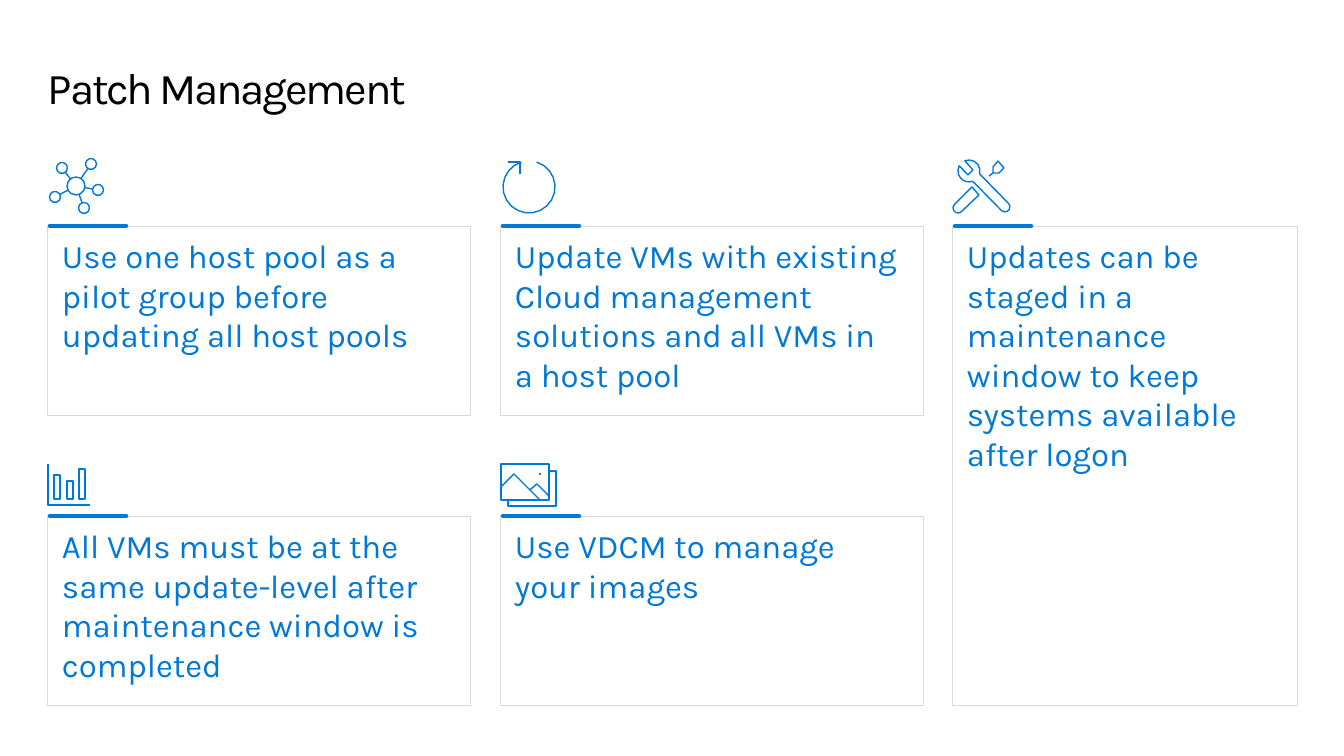
from math import ceil, cos, dist, radians, sin, sqrt

from lxml.etree import SubElement
from pptx import Presentation
from pptx.dml.color import RGBColor
from pptx.enum.shapes import MSO_CONNECTOR as CONNECTOR, MSO_SHAPE as SHAPE
from pptx.enum.text import MSO_ANCHOR as ANCHOR, PP_ALIGN as ALIGN
from pptx.oxml.ns import qn
from pptx.util import Pt

PX = 914400 / 100.8
THEME = {
    "font": "Karla",
    "ink": RGBColor.from_string("000000"),
    "blue": RGBColor.from_string("0078D7"),
    "border": RGBColor.from_string("D9D9D9"),
    "title_size": Pt(31.4),
    "body_size": Pt(23.5),
    "border_width": Pt(0.5),
    "accent_width": Pt(3.25),
    "icon_width": Pt(1),
}


def write(frame, text, size, color, insets):
    frame.word_wrap = True
    frame.vertical_anchor = ANCHOR.TOP
    frame.margin_left, frame.margin_top, frame.margin_right, frame.margin_bottom = [
        round(inset * PX) for inset in insets
    ]
    paragraph = frame.paragraphs[0]
    paragraph.text = text
    paragraph.alignment = ALIGN.LEFT
    for run in paragraph.runs:
        run.font.name = THEME["font"]
        run.font.size = size
        run.font.color.rgb = color
    return paragraph


def arc(x, y, radius, start=0, sweep=360):
    steps = ceil(abs(sweep) * sqrt(radius) / 90)
    angles = [radians(start + sweep * step / steps) for step in range(steps + 1)]
    return [(x + radius * cos(angle), y + radius * sin(angle)) for angle in angles]


deck = Presentation()
deck.slide_width, deck.slide_height = round(1344 * PX), round(756 * PX)
slide = deck.slides.add_slide(deck.slide_layouts[6])

title_box = slide.shapes.add_textbox(*[round(v * PX) for v in (48, 48, 1250, 84)])
title = write(title_box.text_frame, "Patch Management",
              THEME["title_size"], THEME["ink"], (0, 18, 0, 0))
title.line_spacing = 0.9
title.runs[0].font._element.set("spc", "-160")

columns = [(47, 423), (500, 423), (952, 345)]
rows = [226, 516]
card_height = 189
tall_height = rows[1] + card_height - rows[0]
cards = [
    (0, 0, card_height, "Use one host pool as a pilot group before updating all host pools"),
    (1, 0, card_height,
     "Update VMs with existing Cloud management solutions and all VMs in\na host pool"),
    (2, 0, tall_height,
     "Updates can be staged in a maintenance window to keep systems available after logon"),
    (0, 1, card_height,
     "All VMs must be at the same update-level after maintenance window is completed"),
    (1, 1, card_height, "Use VDCM to manage\nyour images"),
]
for column, row, height, message in cards:
    left, width = columns[column]
    top = rows[row]
    card = slide.shapes.add_shape(
        SHAPE.RECTANGLE, *[round(v * PX) for v in (left, top, width, height)])
    card.shadow.inherit = False
    card.fill.background()
    card.line.color.rgb = THEME["border"]
    card.line.width = THEME["border_width"]
    body = write(card.text_frame, message,
                 THEME["body_size"], THEME["blue"], (15, 10, 15, 10))
    body.space_after = Pt(7.8)

    accent = slide.shapes.add_connector(
        CONNECTOR.STRAIGHT, *[round(v * PX) for v in (left + 3, top, left + 79, top)])
    accent.line.color.rgb = THEME["blue"]
    accent.line.width = THEME["accent_width"]
    accent.line._get_or_add_ln().set("cap", "rnd")
    SubElement(accent._element.spPr, qn("a:effectLst"))

hub, hub_radius, node_radius = (76, 186), 9, 5.5
nodes = [(91, 164), (62, 168), (55, 197), (84, 208), (98, 190)]
network = [arc(*hub, hub_radius)]
for node in nodes:
    length = dist(hub, node)
    spoke = [
        tuple(a + (b - a) * reach / length for a, b in zip(hub, node))
        for reach in (hub_radius, length - node_radius)
    ]
    network += [arc(*node, node_radius), spoke]

refresh = [arc(529, 187, 26, -73, 326), [(520, 174), (520, 162), (508, 162)]]

bar_chart = [[(48, 464), (48, 505), (90, 505)]]
for x, y in [(54, 475), (67, 481), (79, 469)]:
    bar_chart.append([(x, 499), (x, y), (x + 6, y), (x + 6, 499), (x, 499)])

grip = arc(958, 208, 5, 45, 180) + [(972, 187), (979, 195)]
tip = [(1004, 168), (998, 161), (993, 167), (993, 173), (999, 173)]
screwdriver = [grip + grip[:1], tip + tip[:1], [(993, 173), (989, 176)]]

wrench_outline = (
    arc(969, 171, 11, 15, -127) + [(973, 170), (968, 175)]
    + arc(969, 171, 11, 208, -138) + arc(1005, 207, 5, 135, -180)
)
wrench = [wrench_outline + wrench_outline[:1]]

gallery = [
    [(501, 464), (549, 464), (549, 500), (501, 500), (501, 464)],
    arc(540, 474, 0.5),
    [(540, 500), (514, 474), (501, 487)],
    [(549, 496), (537, 484), (530, 490)],
    [(508, 500), (508, 506), (556, 506), (556, 471), (549, 471)],
]

for strokes in (network, refresh, bar_chart, screwdriver, wrench, gallery):
    outline = slide.shapes.build_freeform()
    for number, stroke in enumerate(strokes):
        points = [(round(x * PX), round(y * PX)) for x, y in stroke]
        if number == 0:
            outline = slide.shapes.build_freeform(*points[0])
        else:
            outline.move_to(*points[0])
        closed = points[0] == points[-1]
        outline.add_line_segments(points[1:-1] if closed else points[1:], close=closed)
    icon = outline.convert_to_shape()
    icon.shadow.inherit = False
    icon.fill.background()
    icon.line.color.rgb = THEME["blue"]
    icon.line.width = THEME["icon_width"]

deck.save("out.pptx")
